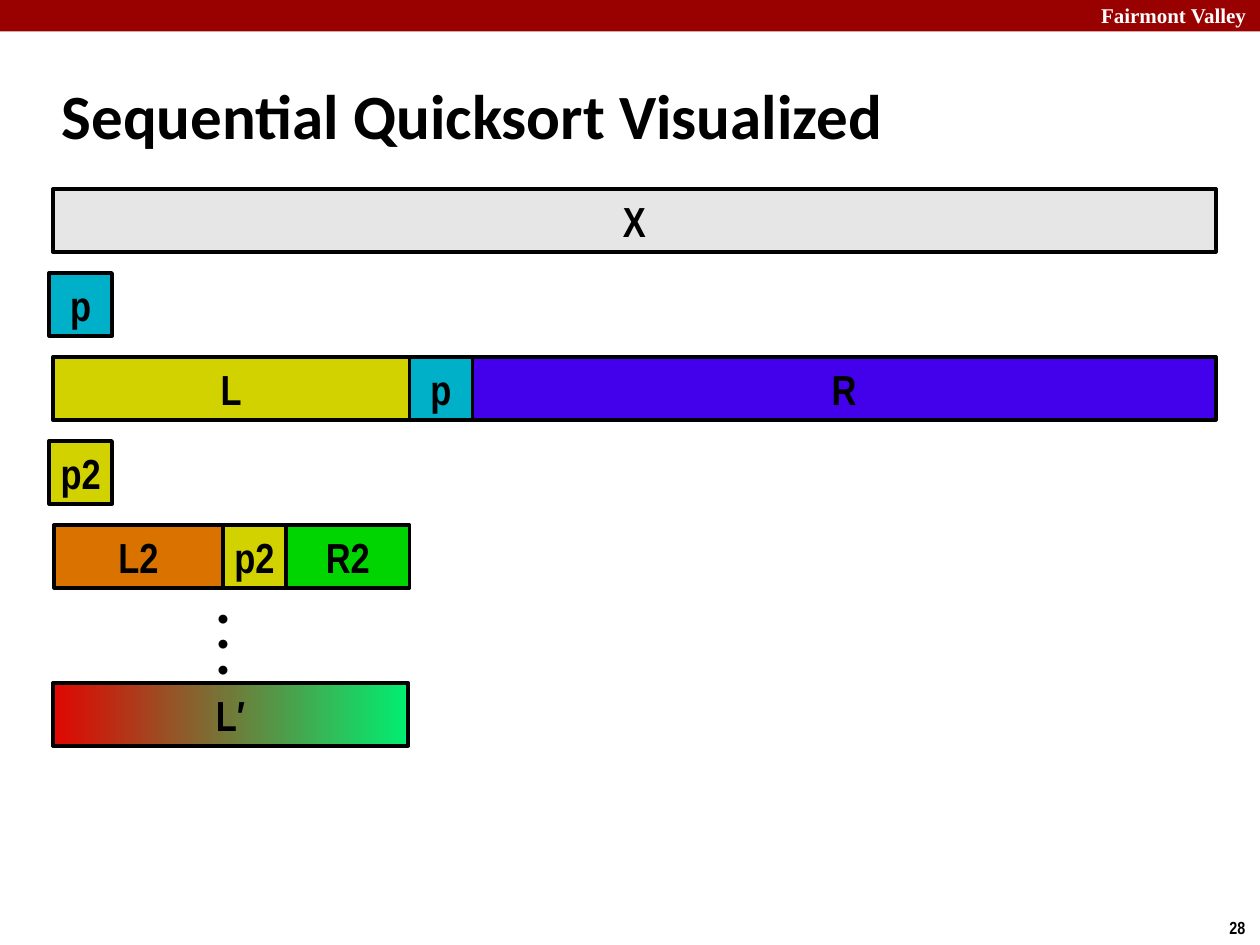
from pptx import Presentation
from pptx.dml.color import RGBColor
from pptx.enum.shapes import MSO_SHAPE
from pptx.enum.text import MSO_ANCHOR, MSO_AUTO_SIZE, PP_ALIGN
from pptx.util import Inches, Pt

COLORS = {
    "black": "000000",
    "white": "FFFFFF",
    "banner": "990000",
    "input": "E6E6E6",
    "pivot": "00B0C8",
    "left": "D2D200",
    "right": "4300EA",
    "left2": "DA7200",
    "right2": "01D501",
    "sorted_start": "E10601",
    "sorted_end": "00EE71",
}

# Grid: evenly spaced rows of array bars
LEFT_EDGE = 0.42
RIGHT_EDGE = 9.65
PIVOT_LEFT = 0.39
CELL = 0.5
FIRST_ROW = 1.5
ROW_PITCH = 2 / 3


def row_top(row):
    return FIRST_ROW + row * ROW_PITCH


def rgb(name):
    return RGBColor.from_string(COLORS[name])


def write(frame, text, size=24, font="Arial Narrow", color="black",
          align=PP_ALIGN.LEFT, anchor=MSO_ANCHOR.TOP, wrap=False):
    """Put bold text in a frame, one paragraph per line."""
    frame.text = text
    frame.word_wrap = wrap
    frame.vertical_anchor = anchor
    for paragraph in frame.paragraphs:
        paragraph.alignment = align
        for run in paragraph.runs:
            run.font.size = Pt(size)
            run.font.name = font
            run.font.bold = True
            run.font.color.rgb = rgb(color)


def add_label(shapes, text, left, top, width, height, **text_format):
    label = shapes.add_textbox(Inches(left), Inches(top), Inches(width), Inches(height))
    write(label.text_frame, text, **text_format)
    label.text_frame.auto_size = MSO_AUTO_SIZE.SHAPE_TO_FIT_TEXT


def add_bar(shapes, text, left, top, width, color, end_color=None):
    """Draw an array segment, shaded left to right if it has an end colour."""
    bar = shapes.add_shape(MSO_SHAPE.RECTANGLE, Inches(left), Inches(top),
                           Inches(width), Inches(CELL))
    bar.shadow.inherit = False
    if end_color:
        bar.fill.gradient()
        bar.fill.gradient_angle = 0
        for stop, name in zip(bar.fill.gradient_stops, (color, end_color)):
            stop.color.rgb = rgb(name)
    else:
        bar.fill.solid()
        bar.fill.fore_color.rgb = rgb(color)
    bar.line.color.rgb = rgb("black")
    bar.line.width = Pt(2)
    write(bar.text_frame, text, align=PP_ALIGN.CENTER, anchor=MSO_ANCHOR.MIDDLE)


def add_partition(slide, row, left, segments):
    """Draw adjoining segments as one group: (text, width, colour) each."""
    partition = slide.shapes.add_group_shape()
    for text, width, color in segments:
        add_bar(partition.shapes, text, left, row_top(row), width, color)
        left += width


def add_banner(slide):
    banner = slide.shapes.add_shape(MSO_SHAPE.RECTANGLE, 0, 0, Inches(10), Inches(0.25))
    banner.shadow.inherit = False
    banner.fill.solid()
    banner.fill.fore_color.rgb = rgb("banner")
    banner.line.fill.background()
    add_label(slide.shapes, "Fairmont Valley", 8.64, -0.03, 1.43, 0.3, size=12,
              font="Times New Roman", color="white", wrap=True)


def format_title(slide):
    title = slide.shapes.title
    title.left, title.top = Inches(0.39), Inches(0.49)
    title.width, title.height = Inches(8.3), Inches(0.83)
    write(title.text_frame, "Sequential Quicksort Visualized", size=36,
          font="Calibri", anchor=MSO_ANCHOR.MIDDLE, wrap=True)


def main():
    prs = Presentation()
    prs.slide_width, prs.slide_height = Inches(10), Inches(7.5)
    slide = prs.slides.add_slide(prs.slide_layouts[5])

    # Banner, page number and title
    add_banner(slide)
    add_label(slide.shapes, "28", 9.66, 7.23, 0.34, 0.27, size=10)
    format_title(slide)

    # Whole input and its pivot
    add_bar(slide.shapes, "X", LEFT_EDGE, row_top(0), RIGHT_EDGE - LEFT_EDGE, "input")
    add_bar(slide.shapes, "p", PIVOT_LEFT, row_top(1), CELL, "pivot")

    # First partition
    add_partition(slide, 2, LEFT_EDGE, [
        ("L", 2.83, "left"), ("p", CELL, "pivot"), ("R", 5.9, "right")])

    # Partition of the left part
    add_bar(slide.shapes, "p2", PIVOT_LEFT, row_top(3), CELL, "left")
    add_partition(slide, 4, 0.43, [
        ("L2", 1.34, "left2"), ("p2", CELL, "left"), ("R2", 0.98, "right2")])

    # Further steps down to the sorted left part
    result = slide.shapes.add_group_shape()
    add_label(result.shapes, "•\n•\n•", 1.63, 4.75, 0.28, 0.71, size=12, font="Calibri")
    add_bar(result.shapes, "L′", LEFT_EDGE, 5.42, 2.82, "sorted_start", "sorted_end")

    prs.save("out.pptx")


if __name__ == "__main__":
    main()
